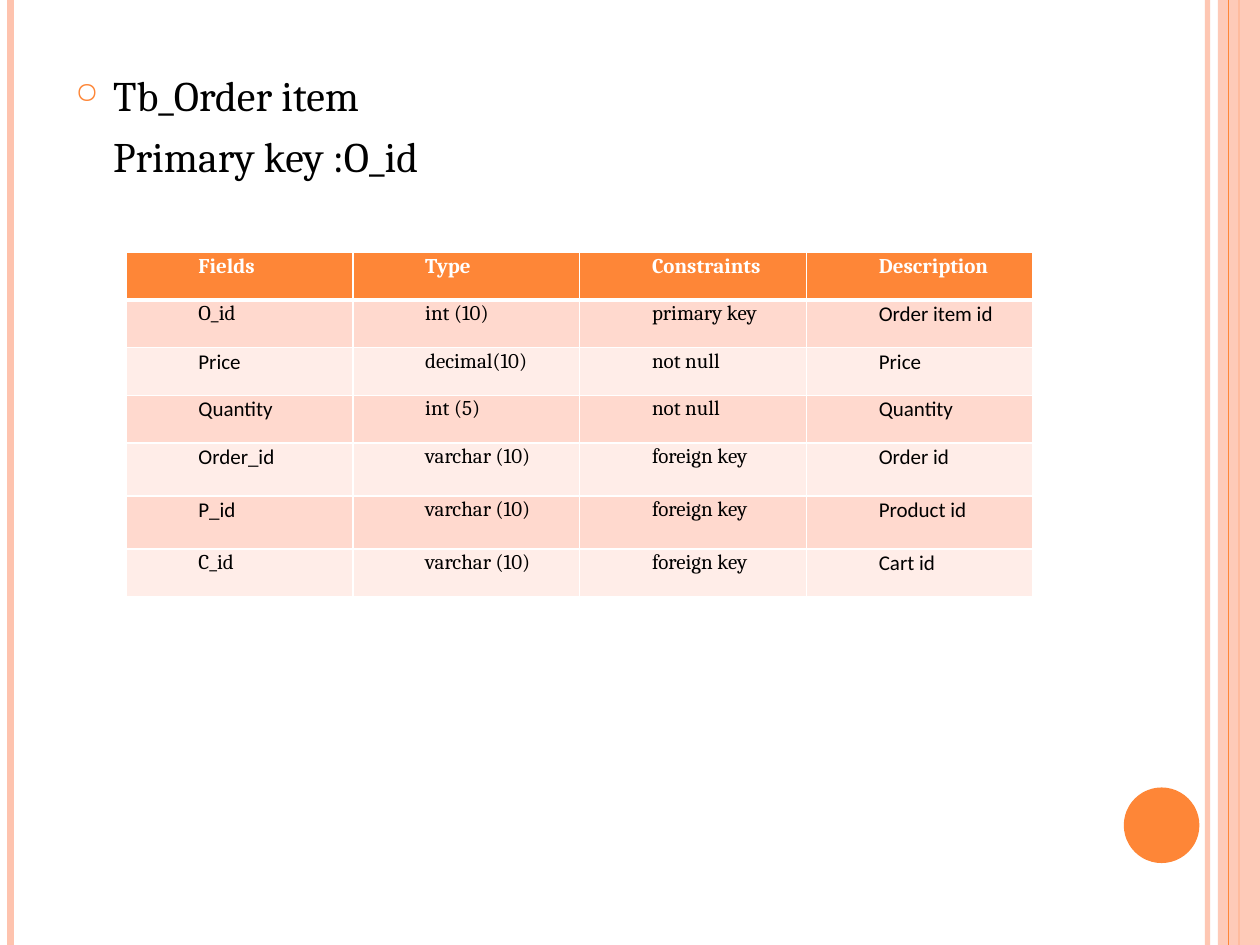
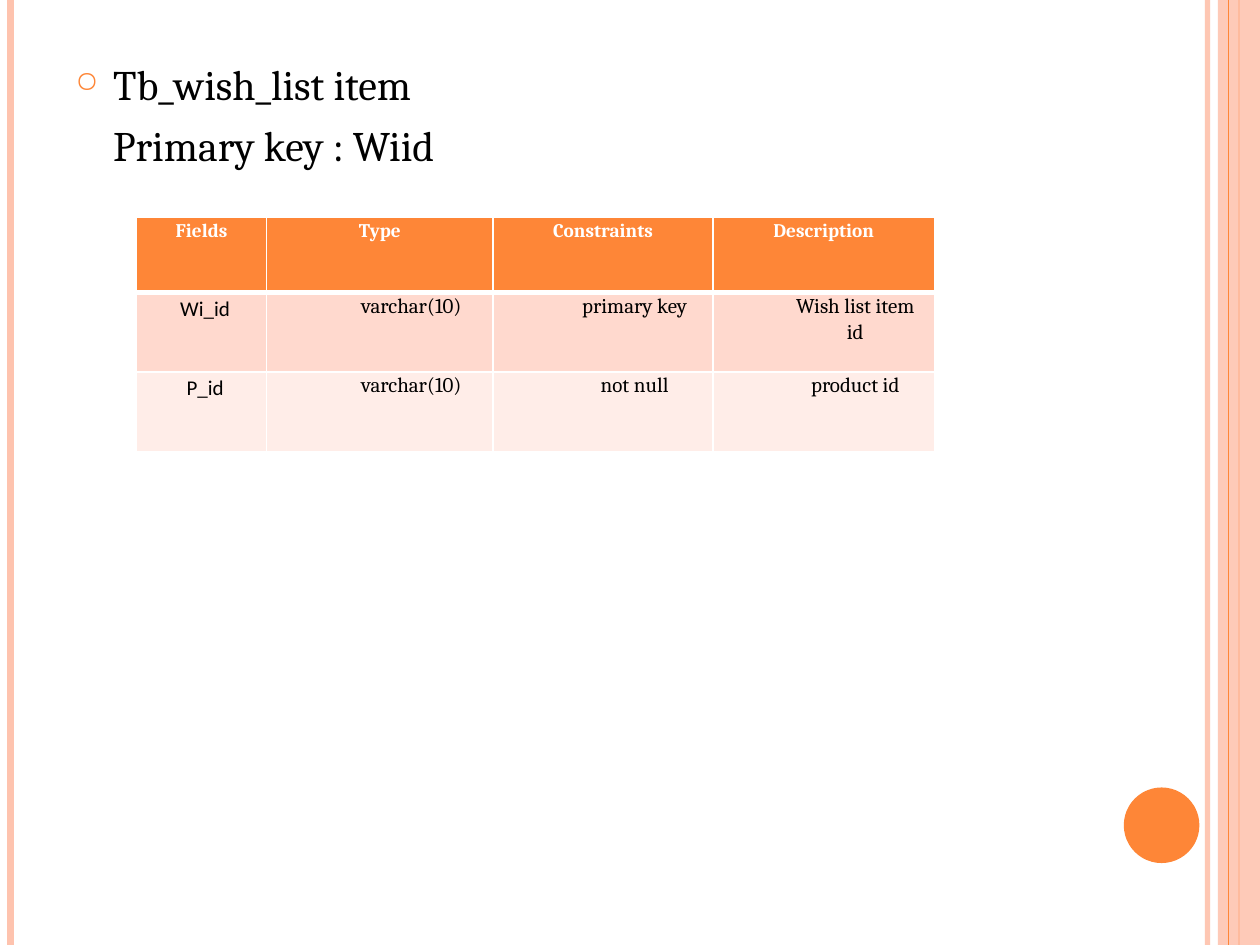
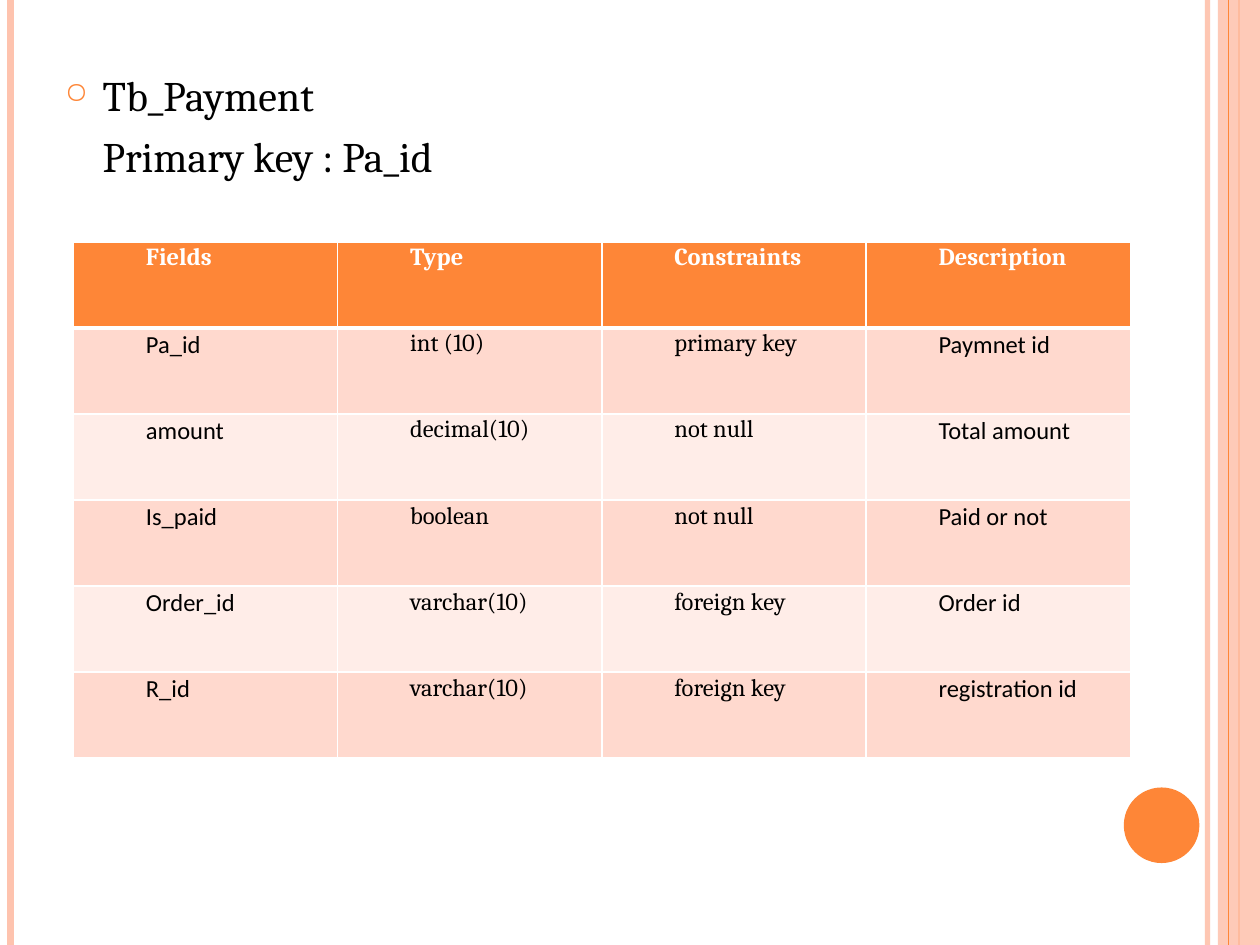
import lxml.etree
import pptx
import pptx.dml.color
import pptx.enum.shapes
import pptx.enum.text
import pptx.oxml.ns
import pptx.util
from dataclasses import dataclass

Pt = pptx.util.Pt
RGB = pptx.dml.color.RGBColor.from_string
qn = pptx.oxml.ns.qn
left = pptx.enum.text.PP_ALIGN.LEFT
center = pptx.enum.text.PP_ALIGN.CENTER
kinds = pptx.enum.shapes.MSO_SHAPE


@dataclass(frozen=True)
class Theme:
    orange: str = "FE8637"
    peach: str = "FEC3AE"
    bands: tuple = ("FFEDE8", "FFD9CE")
    white: str = "FFFFFF"
    black: str = "000000"
    serif: str = "Cambria"
    sans: str = "Calibri"
    title: int = 24


theme = Theme()

# Frame parts, back to front: kind, left, width, colour, opacity in percent
frame = [
    ("rule", 690, 3, theme.peach, 93),
    ("rule", 6, 4.5, theme.peach, 100),
    ("rule", 708, 1.5, theme.orange, 100),
    ("band", 696, 24, theme.peach, 87),
    ("rule", 702, 0.75, theme.orange, 100),
]

header = ["Fields", "Type", "Constraints", "Description"]

# sans: columns set in the sans font; serif: fields that keep the serif font
pages = [
    dict(
        title=["Tb_Order item", "Primary key :O_id"],
        box=(36, 36, 588, 90),
        spot=(72, 144.3),
        cols=[129.6] * 4,
        tall=[27.2] * 4 + [30.4] * 2 + [27.2],
        head=12, body=12, align=left, sans=(0, 3), serif=("O_id", "C_id"),
        rows=[
            ["O_id", "int (10)", "primary key", "Order item id"],
            ["Price", "decimal(10)", "not null", "Price"],
            ["Quantity", "int (5)", "not null", "Quantity"],
            ["Order_id", "varchar (10)", "foreign key", "Order id"],
            ["P_id", "varchar (10)", "foreign key", "Product id"],
            ["C_id", "varchar (10)", "foreign key", "Cart id"],
        ],
    ),
    dict(
        title=["Tb_wish_list item", "Primary key : Wiid"],
        box=(36, 30, 588, 96),
        spot=(78, 124),
        cols=[74.4, 129.4, 125.8, 126.4],
        tall=[43.2, 45.4, 45.4],
        head=11, body=12, align=center, sans=(0,), serif=(),
        rows=[
            ["Wi_id", "varchar(10)", "primary key", "Wish list item id"],
            ["P_id", "varchar(10)", "not null", "product id"],
        ],
    ),
    dict(
        title=["Tb_Payment", "Primary key : Pa_id"],
        box=(30, 36, 588, 114),
        spot=(42, 138.2),
        cols=[151] * 4,
        tall=[49.2] * 6,
        head=14, body=14, align=left, sans=(0, 3), serif=(),
        rows=[
            ["Pa_id", "int (10)", "primary key", "Paymnet id"],
            ["amount", "decimal(10)", "not null", "Total amount"],
            ["Is_paid", "boolean", "not null", "Paid or not"],
            ["Order_id", "varchar(10)", "foreign key", "Order id"],
            ["R_id", "varchar(10)", "foreign key", "registration id"],
        ],
    ),
]


def tag(parent, name, **attrs):
    """Append an XML child, with its attributes given as keywords."""
    pairs = {key: str(value) for key, value in attrs.items()}
    return lxml.etree.SubElement(parent, qn(name), pairs)


def write(para, text, face, size, color, bold=False, indent=0, hang=0):
    para.text = text
    props = para._p.get_or_add_pPr()
    props.set("marL", str(Pt(indent)))
    props.set("indent", str(Pt(-hang)))
    para.font.name = face
    para.font.size = Pt(size)
    para.font.bold = bold
    para.font.color.rgb = RGB(color)


deck = pptx.Presentation()
deck.slide_width, deck.slide_height = Pt(720), Pt(540)

for page in pages:
    slide = deck.slides.add_slide(deck.slide_layouts[6])
    shapes = slide.shapes

    for kind, x, width, color, alpha in frame:
        if kind == "rule":
            part = shapes.add_connector(
                pptx.enum.shapes.MSO_CONNECTOR.STRAIGHT, Pt(x), 0, Pt(x), Pt(540))
            part.line.color.rgb = RGB(color)
            part.line.width = Pt(width)
            tag(part.element.spPr, "a:effectLst")
        else:
            part = shapes.add_shape(kinds.RECTANGLE, Pt(x), 0, Pt(width), Pt(540))
            part.fill.solid()
            part.fill.fore_color.rgb = RGB(color)
            part.line.fill.background()
            part.shadow.inherit = False
        if alpha < 100:
            tone = part.element.spPr.find(".//" + qn("a:srgbClr"))
            tag(tone, "a:alpha", val=alpha * 1000)

    disc = shapes.add_shape(kinds.OVAL, Pt(642.2), Pt(450), Pt(43.2), Pt(43.2))
    disc.fill.solid()
    disc.fill.fore_color.rgb = RGB(theme.orange)
    disc.line.fill.background()
    disc.shadow.inherit = False

    text = shapes.add_textbox(*map(Pt, page["box"])).text_frame
    text.word_wrap = True
    name, key = text.paragraphs[0], text.add_paragraph()
    props = name._p.get_or_add_pPr()
    tag(tag(props, "a:buClr"), "a:srgbClr", val=theme.orange)
    tag(props, "a:buSzPct", val=70000)
    tag(props, "a:buChar", char="○")
    for para, words, hang in zip((name, key), page["title"], (21.6, 0)):
        write(para, words, theme.serif, theme.title, theme.black,
              indent=21.6, hang=hang)
        para.space_before = Pt(6)

    rows = [header] + page["rows"]
    size = sum(page["cols"]), sum(page["tall"])
    table = shapes.add_table(
        len(rows), len(header), *map(Pt, page["spot"] + size)).table
    for col, width in zip(table.columns, page["cols"]):
        col.width = Pt(width)
    for row, height in zip(table.rows, page["tall"]):
        row.height = Pt(height)

    for r, row in enumerate(rows):
        for c, words in enumerate(row):
            cell = table.cell(r, c)
            top = r == 0
            cell.margin_left = cell.margin_right = Pt(5.4)
            cell.margin_top = cell.margin_bottom = 0
            for side in ("lnL", "lnR", "lnT", "lnB"):
                thick = 3 if top and side == "lnB" else 1
                edge = tag(cell._tc.get_or_add_tcPr(), "a:" + side, w=Pt(thick))
                tag(tag(edge, "a:solidFill"), "a:srgbClr", val=theme.white)
            cell.fill.solid()
            cell.fill.fore_color.rgb = RGB(theme.orange if top else theme.bands[r % 2])

            sans = not top and c in page["sans"] and words not in page["serif"]
            tight = page["align"] == center and (top or c == 0)
            indent = 36 if not tight else 0 if top else 4
            para = cell.text_frame.paragraphs[0]
            write(para, words, theme.sans if sans else theme.serif,
                  page["head"] if top else page["body"],
                  theme.white if top else theme.black, bold=top, indent=indent)
            para.alignment = page["align"]
            para.line_spacing = 1.15 if tight else 1.07
            if c == 3 and not tight:
                para.space_after = Pt(8)

deck.save("out.pptx")
